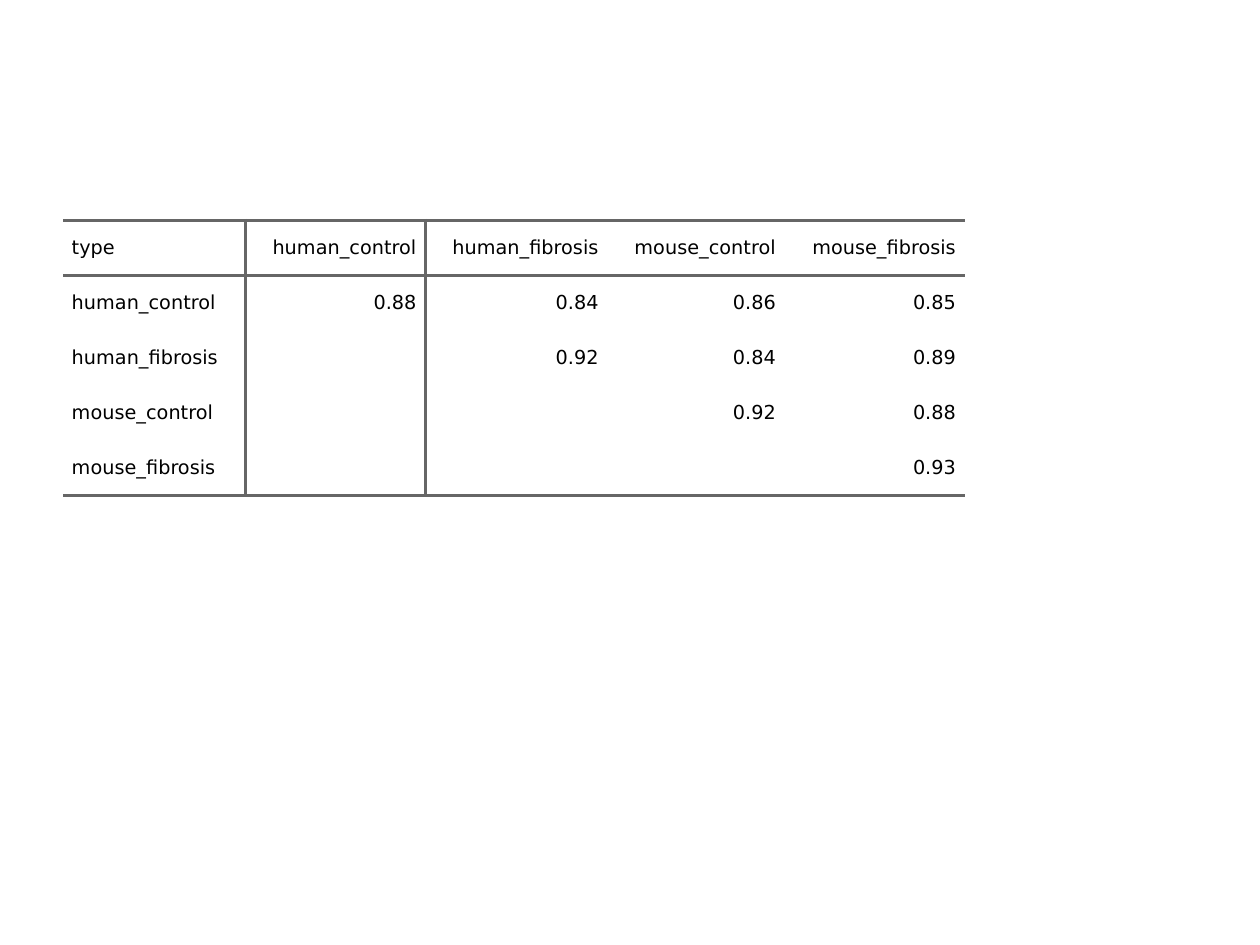
import pptx
import pptx.util
import pptx.dml.color
import pptx.enum.text
import pptx.oxml.ns
import lxml.etree

Pt = pptx.util.Pt
RGB = pptx.dml.color.RGBColor.from_string
ALIGN = pptx.enum.text.PP_ALIGN

# Content: upper triangle of the similarity matrix
TYPES = ["human_control", "human_fibrosis", "mouse_control", "mouse_fibrosis"]
SCORES = [
    ["0.88", "0.84", "0.86", "0.85"],
    ["", "0.92", "0.84", "0.89"],
    ["", "", "0.92", "0.88"],
    ["", "", "", "0.93"],
]
ROWS = [["type"] + TYPES] + [[t] + row for t, row in zip(TYPES, SCORES)]

# Theme and layout
THEME = {"font": "DejaVu Sans", "size": 11, "text": "000000",
         "rule": "666666", "rule_width": 2}
LEFT, TOP = 36, 126
COL_WIDTHS = [104.1, 102.9, 104.1, 101.3, 102.9]
ROW_HEIGHT = 31.45
PAD = 5
NO_STYLE = "{2D5ABB26-0587-4C30-8999-92F81FD0307C}"


def add_border(cell, side):
    qn = pptx.oxml.ns.qn
    tcPr = cell._tc.get_or_add_tcPr()
    ln = lxml.etree.SubElement(tcPr, qn("a:ln" + side), w=str(Pt(THEME["rule_width"])))
    fill = lxml.etree.SubElement(ln, qn("a:solidFill"))
    lxml.etree.SubElement(fill, qn("a:srgbClr"), val=THEME["rule"])


def borders(row, col):
    """Rules around the header row, under the last row, after the first column."""
    return [side for side, drawn in (
        ("L", col == 1),
        ("R", col == 0),
        ("T", row == 0),
        ("B", row in (0, len(ROWS) - 1)),
    ) if drawn]


def write(cell, text, align):
    tf = cell.text_frame
    p = tf.paragraphs[0]
    p.alignment = align
    p.space_before = p.space_after = Pt(PAD)
    pPr = p._p.get_or_add_pPr()
    for margin in ("marL", "marR"):
        pPr.set(margin, str(Pt(PAD)))
    r = p.add_run()
    r.text = text
    r.font.name = THEME["font"]
    r.font.size = Pt(THEME["size"])
    r.font.color.rgb = RGB(THEME["text"])


prs = pptx.Presentation()
prs.slide_width, prs.slide_height = Pt(720), Pt(540)
s = prs.slides.add_slide(prs.slide_layouts[6])

# Table frame
frame = s.shapes.add_table(len(ROWS), len(COL_WIDTHS), Pt(LEFT), Pt(TOP),
                           Pt(sum(COL_WIDTHS)), Pt(ROW_HEIGHT * len(ROWS)))
table = frame.table
table.first_row = table.horz_banding = False
table._tbl.tblPr.find(pptx.oxml.ns.qn("a:tableStyleId")).text = NO_STYLE
for column, width in zip(table.columns, COL_WIDTHS):
    column.width = Pt(width)
for row in table.rows:
    row.height = Pt(ROW_HEIGHT)

# Cells
for i, values in enumerate(ROWS):
    for j, text in enumerate(values):
        cell = table.cell(i, j)
        cell.margin_left = cell.margin_right = Pt(0)
        cell.margin_top = cell.margin_bottom = Pt(0)
        cell.vertical_anchor = pptx.enum.text.MSO_ANCHOR.MIDDLE
        for side in borders(i, j):
            add_border(cell, side)
        cell.fill.background()
        if text:
            write(cell, text, ALIGN.RIGHT if j else ALIGN.LEFT)

prs.save("out.pptx")
